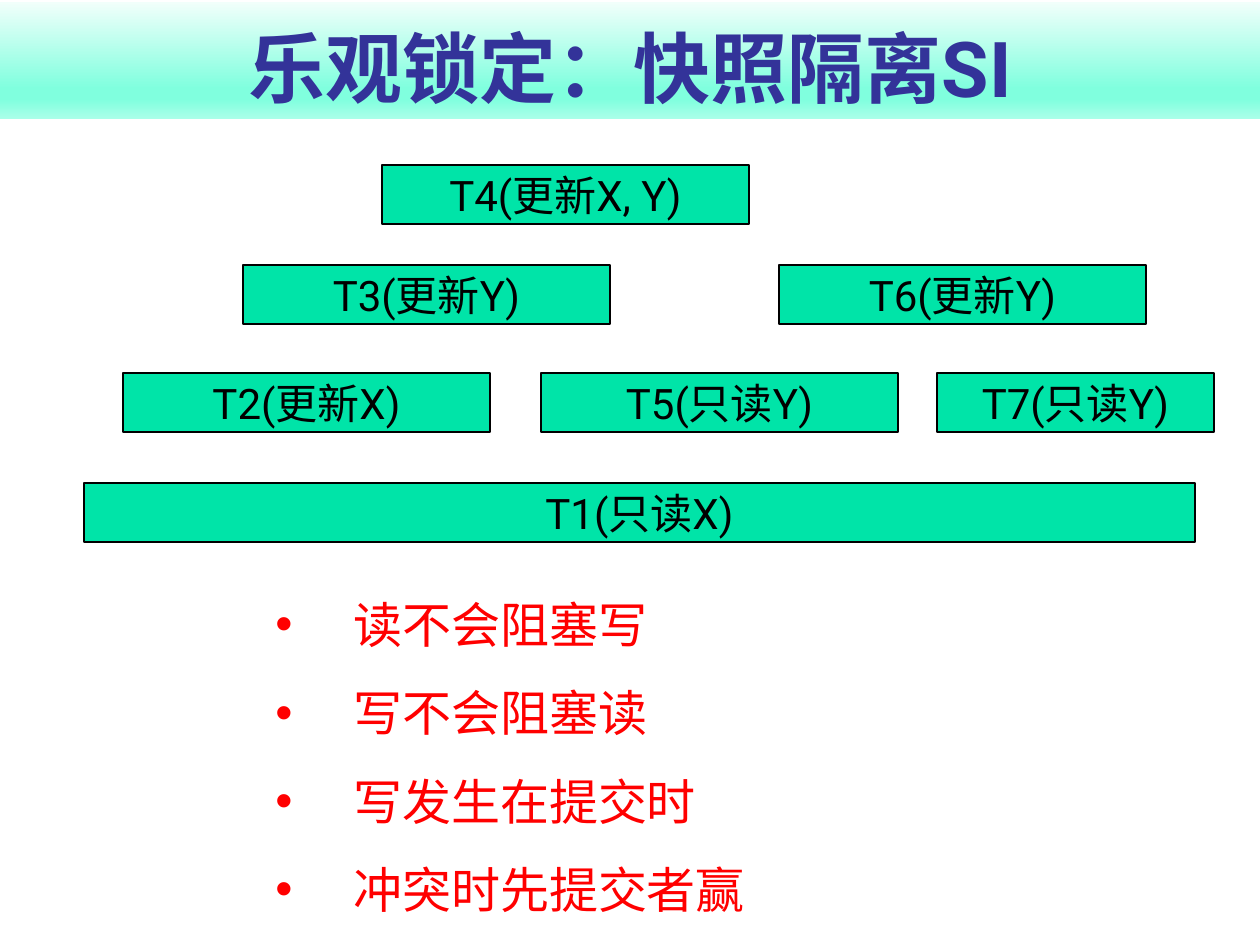
from lxml import etree
from pptx import Presentation
from pptx.dml.color import RGBColor as RGB
from pptx.enum.shapes import MSO_SHAPE as SHAPE
from pptx.enum.text import MSO_ANCHOR as ANCHOR, MSO_AUTO_SIZE as FIT, PP_ALIGN as ALIGN
from pptx.oxml import parse_xml
from pptx.oxml.ns import nsdecls, qn
from pptx.util import Emu, Pt

SCALE = 914400 / 126  # EMU in one px
WIDE, HIGH = 1260, 945

NAVY = RGB(0x33, 0x33, 0x99)
GREEN = RGB(0x00, 0xE4, 0xA8)
BLACK = RGB(0x00, 0x00, 0x00)
RED = RGB(0xFF, 0x00, 0x00)
# Title band: stop in percent, colour
BAND = [
    (0, RGB(0xF1, 0xFF, 0xFB)),
    (74, RGB(0x80, 0xFF, 0xDE)),
    (83, RGB(0x80, 0xFF, 0xDE)),
    (100, RGB(0xAA, 0xFF, 0xE9)),
]

LATIN, HAN = "Roboto", "Noto Sans CJK SC"
HEAD = {"name": LATIN, "size": Pt(44), "bold": True}
LABEL = {"name": LATIN, "size": Pt(24)}
POINT = {"name": HAN, "size": Pt(28)}

# Transactions: text, left, width, row
BAR, ROWS = 59, [165, 265, 373, 483]
TASKS = [
    ("T1(只读X)", 84, 1111, 3),
    ("T2(更新X)", 123, 367, 2),
    ("T3(更新Y)", 243, 367, 1),
    ("T4(更新X, Y)", 382, 367, 0),
    ("T5(只读Y)", 541, 357, 2),
    ("T6(更新Y)", 779, 367, 1),
    ("T7(只读Y)", 937, 277, 2),
]
RULES = ["读不会阻塞写", "写不会阻塞读", "写发生在提交时", "冲突时先提交者赢"]
INDENT = 78


def px(n):
    return Emu(round(n * SCALE))


def write(para, text, style, color):
    run = para.add_run()
    run.text = text
    for key, value in style.items():
        setattr(run.font, key, value)
    run.font.color.rgb = color
    etree.SubElement(run.font._element, qn("a:ea"), typeface=HAN)


def add_head(slide, text, x, y, w, h):
    head = slide.shapes.title
    head.left, head.top, head.width, head.height = map(px, (x, y, w, h))
    stops = "".join(
        f'<a:gs pos="{pos * 1000}"><a:srgbClr val="{color}"/></a:gs>'
        for pos, color in BAND
    )
    head._element.spPr.append(parse_xml(
        f'<a:gradFill {nsdecls("a")} rotWithShape="1"><a:gsLst>{stops}</a:gsLst>'
        '<a:lin ang="5400000" scaled="0"/></a:gradFill>'
    ))
    frame = head.text_frame
    frame.auto_size = FIT.NONE
    frame.vertical_anchor = ANCHOR.BOTTOM
    para = frame.paragraphs[0]
    para.alignment = ALIGN.CENTER
    write(para, text, HEAD, NAVY)


def add_task(slide, text, x, y, w, h):
    bar = slide.shapes.add_shape(SHAPE.RECTANGLE, *map(px, (x, y, w, h)))
    bar.shadow.inherit = False
    bar.fill.solid()
    bar.fill.fore_color.rgb = GREEN
    bar.line.color.rgb = BLACK
    bar.line.width = Pt(0.75)
    frame = bar.text_frame
    frame.word_wrap = False
    frame.vertical_anchor = ANCHOR.MIDDLE
    para = frame.paragraphs[0]
    para.alignment = ALIGN.CENTER
    write(para, text, LABEL, BLACK)


def add_rules(slide, rules, x, y, w, h):
    frame = slide.shapes.add_textbox(*map(px, (x, y, w, h))).text_frame
    frame.word_wrap = False
    frame.auto_size = FIT.SHAPE_TO_FIT_TEXT
    for i, rule in enumerate(rules):
        para = frame.add_paragraph() if i else frame.paragraphs[0]
        props = para._p.get_or_add_pPr()
        props.set("marL", str(px(INDENT)))
        props.set("indent", str(-px(INDENT)))
        etree.SubElement(props, qn("a:buFont"), typeface="Arial")
        etree.SubElement(props, qn("a:buChar"), char="•")
        para.alignment = ALIGN.JUSTIFY
        para.line_spacing = 1.5
        write(para, rule, POINT, RED)


def main():
    deck = Presentation()
    deck.slide_width, deck.slide_height = px(WIDE), px(HIGH)
    slide = deck.slides.add_slide(deck.slide_layouts[5])
    add_head(slide, "乐观锁定：快照隔离SI", 0, 2, WIDE, 117)
    for text, x, w, row in TASKS:
        add_task(slide, text, x, ROWS[row], w, BAR)
    add_rules(slide, RULES, 263, 559, 500, 369)
    deck.save("out.pptx")


if __name__ == "__main__":
    main()
